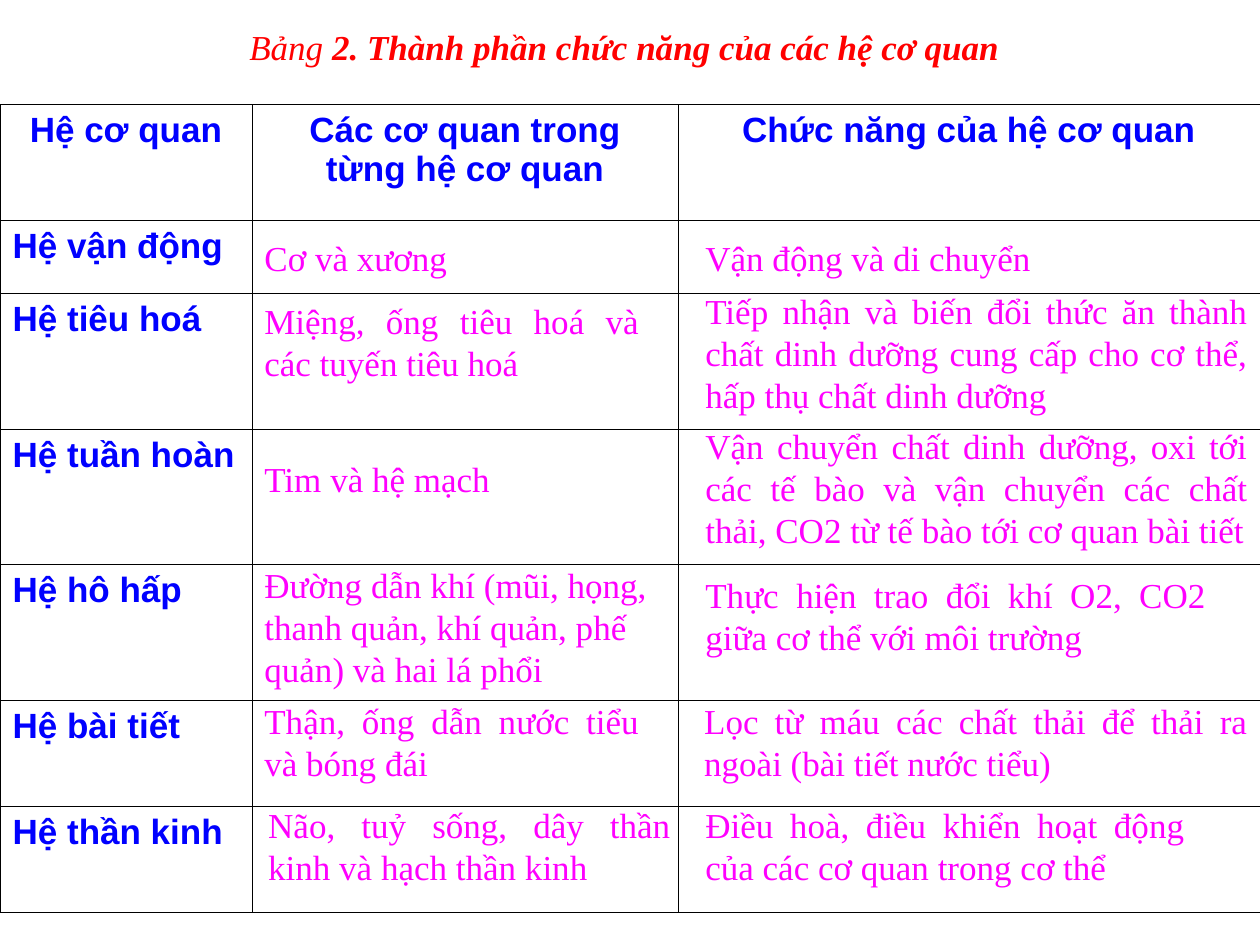
from lxml import etree
from pptx import Presentation
from pptx.dml.color import RGBColor
from pptx.enum.text import MSO_AUTO_SIZE, PP_ALIGN
from pptx.oxml.ns import qn
from pptx.util import Inches, Pt

LEFT, CENTER, JUSTIFY = PP_ALIGN.LEFT, PP_ALIGN.CENTER, PP_ALIGN.JUSTIFY
NO_AUTO_SIZE = MSO_AUTO_SIZE.NONE

RED, BLUE, MAGENTA, BLACK = "FF0000", "0000FF", "FF00FF", "000000"
COLUMN_WIDTHS = [2, 3.38, 4.62]
ROW_HEIGHTS = [0.92, 0.58, 1.08, 1.07, 1.08, 0.84, 0.84]
HEADERS = ["Hệ cơ quan", "Các cơ quan trong từng hệ cơ quan", "Chức năng của hệ cơ quan"]
SYSTEMS = ["Hệ vận động", "Hệ tiêu hoá", "Hệ tuần hoàn",
           "Hệ hô hấp", "Hệ bài tiết", "Hệ thần kinh"]

# left, top, width, number of lines, alignment, text
ORGANS = [
    (2, 1.83, 3.19, 1, LEFT, "Cơ và xương"),
    (2, 2.33, 3.17, 2, JUSTIFY, "Miệng, ống tiêu hoá và các tuyến tiêu hoá"),
    (2, 3.58, 3.33, 1, JUSTIFY, "Tim và hệ mạch"),
    (2, 4.42, 3.38, 3, LEFT,
     "Đường dẫn khí (mũi, họng, thanh quản, khí quản, phế quản) và hai lá phổi"),
    (2, 5.5, 3.17, 2, JUSTIFY, "Thận, ống dẫn nước tiểu và bóng đái"),
    (2.03, 6.33, 3.39, 2, JUSTIFY, "Não, tuỷ sống, dây thần kinh và hạch thần kinh"),
]
FUNCTIONS = [
    (5.5, 1.83, 4.5, 1, JUSTIFY, "Vận động và di chuyển"),
    (5.5, 2.25, 4.5, 3, JUSTIFY,
     "Tiếp nhận và biến đổi thức ăn thành chất dinh dưỡng cung cấp cho cơ thể, "
     "hấp thụ chất dinh dưỡng"),
    (5.5, 3.32, 4.5, 3, JUSTIFY,
     "Vận chuyển chất dinh dưỡng, oxi tới các tế bào và vận chuyển các chất thải, "
     "CO2 từ tế bào tới cơ quan bài tiết"),
    (5.5, 4.5, 4.17, 2, JUSTIFY, "Thực hiện trao đổi khí O2, CO2 giữa cơ thể với môi trường"),
    (5.49, 5.5, 4.51, 2, JUSTIFY,
     "Lọc từ máu các chất thải để thải ra ngoài (bài tiết nước tiểu)"),
    (5.5, 6.33, 4, 2, JUSTIFY, "Điều hoà, điều khiển hoạt động của các cơ quan trong cơ thể"),
]


def rgb(color):
    return RGBColor.from_string(color)


def style_paragraph(para, font_name, color, alignment):
    para.alignment = alignment
    para.font.name = font_name
    para.font.size = Pt(20)
    para.font.color.rgb = rgb(color)


def add_text_box(slide, left, top, width, lines, alignment, color, text=""):
    """Add a box tall enough for its lines and return its paragraph."""
    height = 0.11 + 0.33 * lines
    box = slide.shapes.add_textbox(Inches(left), Inches(top), Inches(width), Inches(height))
    frame = box.text_frame
    frame.word_wrap = True
    frame.auto_size = NO_AUTO_SIZE
    para = frame.paragraphs[0]
    para.text = text
    style_paragraph(para, "Times New Roman", color, alignment)
    return para


def add_title(slide):
    para = add_text_box(slide, 0.58, 0.15, 8.75, 1, CENTER, RED)
    para.font.italic = True
    para.add_run().text = "Bảng"
    span = para.add_run()
    span.text = " 2. Thành phần chức năng của các hệ cơ quan"
    span.font.bold = True


def set_borders(cell):
    properties = cell._tc.get_or_add_tcPr()
    for index, side in enumerate(("a:lnL", "a:lnR", "a:lnT", "a:lnB")):
        line = etree.Element(qn(side), w=str(Pt(0.45)))
        fill = etree.SubElement(line, qn("a:solidFill"))
        etree.SubElement(fill, qn("a:srgbClr"), val=BLACK)
        properties.insert(index, line)


def fill_cell(cell, text, alignment):
    para = cell.text_frame.paragraphs[0]
    para.text = text
    style_paragraph(para, "Arial", BLUE, alignment)
    para.font.bold = True


def add_system_table(slide):
    table = slide.shapes.add_table(
        len(ROW_HEIGHTS), len(COLUMN_WIDTHS), Inches(0), Inches(0.83),
        Inches(sum(COLUMN_WIDTHS)), Inches(sum(ROW_HEIGHTS))).table
    table.first_row = table.horz_banding = False
    for column, width in zip(table.columns, COLUMN_WIDTHS):
        column.width = Inches(width)
    for row, height in zip(table.rows, ROW_HEIGHTS):
        row.height = Inches(height)
    for cell in table.iter_cells():
        cell.fill.background()
        set_borders(cell)
    for index, header in enumerate(HEADERS):
        fill_cell(table.cell(0, index), header, CENTER)
    for index, system in enumerate(SYSTEMS, start=1):
        fill_cell(table.cell(index, 0), system, JUSTIFY)


def main():
    deck = Presentation()
    deck.slide_width, deck.slide_height = Inches(10), Inches(7.5)
    slide = deck.slides.add_slide(deck.slide_layouts[6])
    add_system_table(slide)
    add_title(slide)
    for left, top, width, lines, alignment, text in ORGANS + FUNCTIONS:
        add_text_box(slide, left, top, width, lines, alignment, MAGENTA, text)
    deck.save("out.pptx")


if __name__ == "__main__":
    main()
